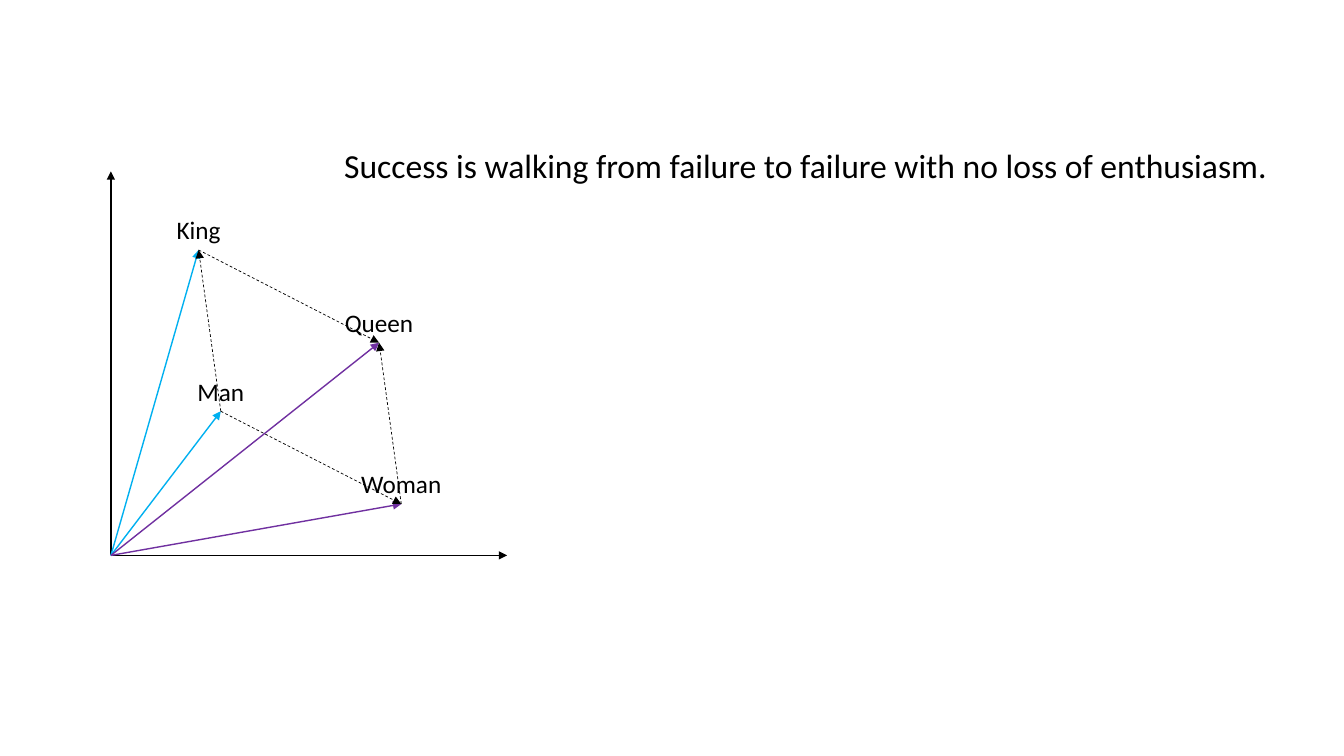
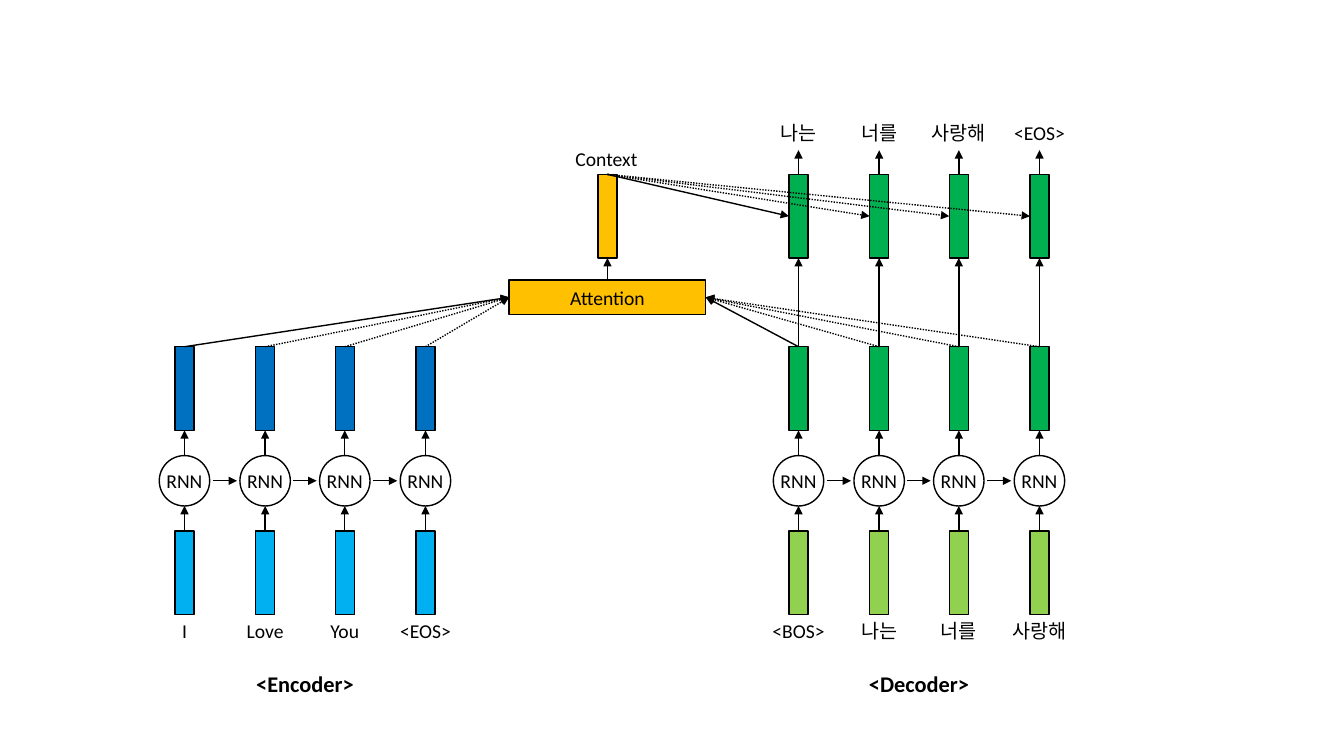
from dataclasses import dataclass
from itertools import pairwise

from lxml.etree import SubElement
from pptx import Presentation
from pptx.dml.color import RGBColor
from pptx.enum.dml import MSO_LINE_DASH_STYLE as Dash
from pptx.enum.shapes import MSO_CONNECTOR as Connector, MSO_SHAPE as Shape
from pptx.enum.text import MSO_ANCHOR as Anchor, PP_ALIGN as Align
from pptx.oxml.ns import qn
from pptx.util import Emu, Pt

PX = 9144  # one px is a hundredth of an inch


@dataclass(frozen=True)
class Theme:
    font: str = "Calibri"
    ink: str = "000000"
    paper: str = "FFFFFF"
    male: str = "00B0F0"
    female: str = "7030A0"
    source_input: str = "00B0F0"
    source_state: str = "0070C0"
    target_input: str = "92D050"
    target_state: str = "00B050"
    attention: str = "FFC000"
    small: int = 14
    heading: int = 16
    word: int = 18
    quote: int = 24
    thin: float = 0.5
    line: float = 1


THEME = Theme()

# Sequence model grid
BAR_W, BAR_H, CELL = 19, 83, 50
OUTPUT_Y, STATE_Y, CELL_Y, INPUT_Y = 173, 344, 452, 527
INPUT_LABEL_Y, OUTPUT_LABEL_Y, HEADING_Y = 609, 115, 660
LABEL_W, LABEL_H = 120, 34
ATTENTION_X, ATTENTION_Y, ATTENTION_W = 505, 278, 195


# Shared helpers
def px(*lengths):
    return [Emu(round(length * PX)) for length in lengths]


def apply(target, values):
    for name, value in values.items():
        setattr(target, name, value)


def write(shape, text, size, bold=False, align=Align.CENTER, anchor=Anchor.MIDDLE):
    frame = shape.text_frame
    apply(frame, {"word_wrap": False, "vertical_anchor": anchor})
    para = frame.paragraphs[0]
    para.alignment = align
    span = para.add_run()
    span.text = text
    apply(span.font, {"name": THEME.font, "size": Pt(size), "bold": bold})
    span.font.color.rgb = RGBColor.from_string(THEME.ink)


def add_label(page, text, centre, top, size, width=LABEL_W, height=LABEL_H, **style):
    box = page.shapes.add_textbox(*px(centre - width / 2, top, width, height))
    write(box, text, size, **style)


def add_block(page, left, top, width, height, fill, text="", kind=Shape.RECTANGLE):
    shape = page.shapes.add_shape(kind, *px(left, top, width, height))
    shape.shadow.inherit = False
    shape.fill.solid()
    shape.fill.fore_color.rgb = RGBColor.from_string(fill)
    shape.line.color.rgb = RGBColor.from_string(THEME.ink)
    shape.line.width = Pt(THEME.line)
    if text:
        margins = ("margin_left", "margin_right", "margin_top", "margin_bottom")
        apply(shape.text_frame, dict.fromkeys(margins, 0))
        write(shape, text, THEME.small)


def add_bar(page, centre, top, fill):
    add_block(page, centre - BAR_W / 2, top, BAR_W, BAR_H, fill)


def add_arrow(page, start, end, color=THEME.ink, width=THEME.line, dash=None):
    arrow = page.shapes.add_connector(Connector.STRAIGHT, *px(*start, *end))
    arrow.line.color.rgb = RGBColor.from_string(color)
    apply(arrow.line, {"width": Pt(width), "dash_style": dash})
    properties = arrow.element.spPr
    SubElement(properties.find(qn("a:ln")), qn("a:tailEnd"), type="triangle")
    SubElement(properties, qn("a:effectLst"))


def add_fan(page, links):
    """Draw the first link solid and the others dotted."""
    for index, (start, end) in enumerate(links):
        add_arrow(page, start, end, dash=Dash.ROUND_DOT if index else None)


# Word vectors
def build_word_vectors(page):
    origin = (110, 551)
    words = {"King": (197, 248), "Queen": (376, 340),
             "Man": (219, 408), "Woman": (398, 500)}
    for word, (x, y) in words.items():
        add_label(page, word, x, y - 40, THEME.word, height=40, anchor=Anchor.TOP)
    for axis_end in ((503, 551), (110, 170)):
        add_arrow(page, origin, axis_end)
    for word, color in (("Man", THEME.male), ("Woman", THEME.female),
                        ("King", THEME.male), ("Queen", THEME.female)):
        add_arrow(page, origin, words[word], color)
    for start, end in (("Man", "King"), ("Woman", "Queen"),
                       ("King", "Queen"), ("Man", "Woman")):
        add_arrow(page, words[start], words[end], width=THEME.thin, dash=Dash.DASH)
    add_label(page, "Success is walking from failure to failure with no loss of enthusiasm.",
              803, 139, THEME.quote, width=943, height=50,
              align=Align.LEFT, anchor=Anchor.TOP)


# Encoder and decoder with attention
def build_network(page, heading, first, words, input_fill, state_fill):
    centres = [first + round(index * 239 / 3) for index in range(len(words))]
    for centre, word in zip(centres, words):
        add_bar(page, centre, INPUT_Y, input_fill)
        add_block(page, centre - CELL / 2, CELL_Y, CELL, CELL,
                  THEME.paper, "RNN", Shape.OVAL)
        add_bar(page, centre, STATE_Y, state_fill)
        add_arrow(page, (centre, INPUT_Y), (centre, CELL_Y + CELL))
        add_arrow(page, (centre, CELL_Y), (centre, STATE_Y + BAR_H))
        add_label(page, word, centre, INPUT_LABEL_Y, THEME.small)
    cell_middle = CELL_Y + CELL / 2
    for left, right in pairwise(centres):
        add_arrow(page, (left + 28, cell_middle), (right - 28, cell_middle))
    add_label(page, heading, (centres[0] + centres[-1]) / 2, HEADING_Y,
              THEME.heading, height=37, bold=True)
    return centres


def build_attention(page, encoder, decoder):
    middle = ATTENTION_X + ATTENTION_W / 2
    add_block(page, ATTENTION_X, ATTENTION_Y, ATTENTION_W, LABEL_H,
              THEME.attention, "Attention")
    for centres, side in ((encoder, ATTENTION_X),
                          (decoder, ATTENTION_X + ATTENTION_W)):
        target = (side, ATTENTION_Y + LABEL_H / 2)
        add_fan(page, [((centre, STATE_Y), target) for centre in centres])
    add_bar(page, middle, OUTPUT_Y, THEME.attention)
    add_label(page, "Context", middle - 1, 140, THEME.small)
    add_arrow(page, (middle, ATTENTION_Y), (middle, OUTPUT_Y + BAR_H))
    return middle, OUTPUT_Y


def build_outputs(page, decoder, words, context):
    for centre, word in zip(decoder, words):
        add_bar(page, centre, OUTPUT_Y, THEME.target_state)
        add_arrow(page, (centre, STATE_Y), (centre, OUTPUT_Y + BAR_H))
        add_label(page, word, centre, OUTPUT_LABEL_Y, THEME.small)
        add_arrow(page, (centre, OUTPUT_Y), (centre, OUTPUT_LABEL_Y + LABEL_H))
    add_fan(page, [(context, (centre - BAR_W / 2, OUTPUT_Y + BAR_H / 2))
                   for centre in decoder])


def build_sequence_model(page):
    translation = ["나는", "너를", "사랑해"]
    encoder = build_network(page, "<Encoder>", 183, ["I", "Love", "You", "<EOS>"],
                            THEME.source_input, THEME.source_state)
    decoder = build_network(page, "<Decoder>", 792, ["<BOS>", *translation],
                            THEME.target_input, THEME.target_state)
    context = build_attention(page, encoder, decoder)
    build_outputs(page, decoder, [*translation, "<EOS>"], context)


def main():
    deck = Presentation()
    deck.slide_width, deck.slide_height = px(1333, 750)
    blank = deck.slide_layouts[6]
    for build in (build_word_vectors, build_sequence_model):
        build(deck.slides.add_slide(blank))
    deck.save("out.pptx")


if __name__ == "__main__":
    main()
